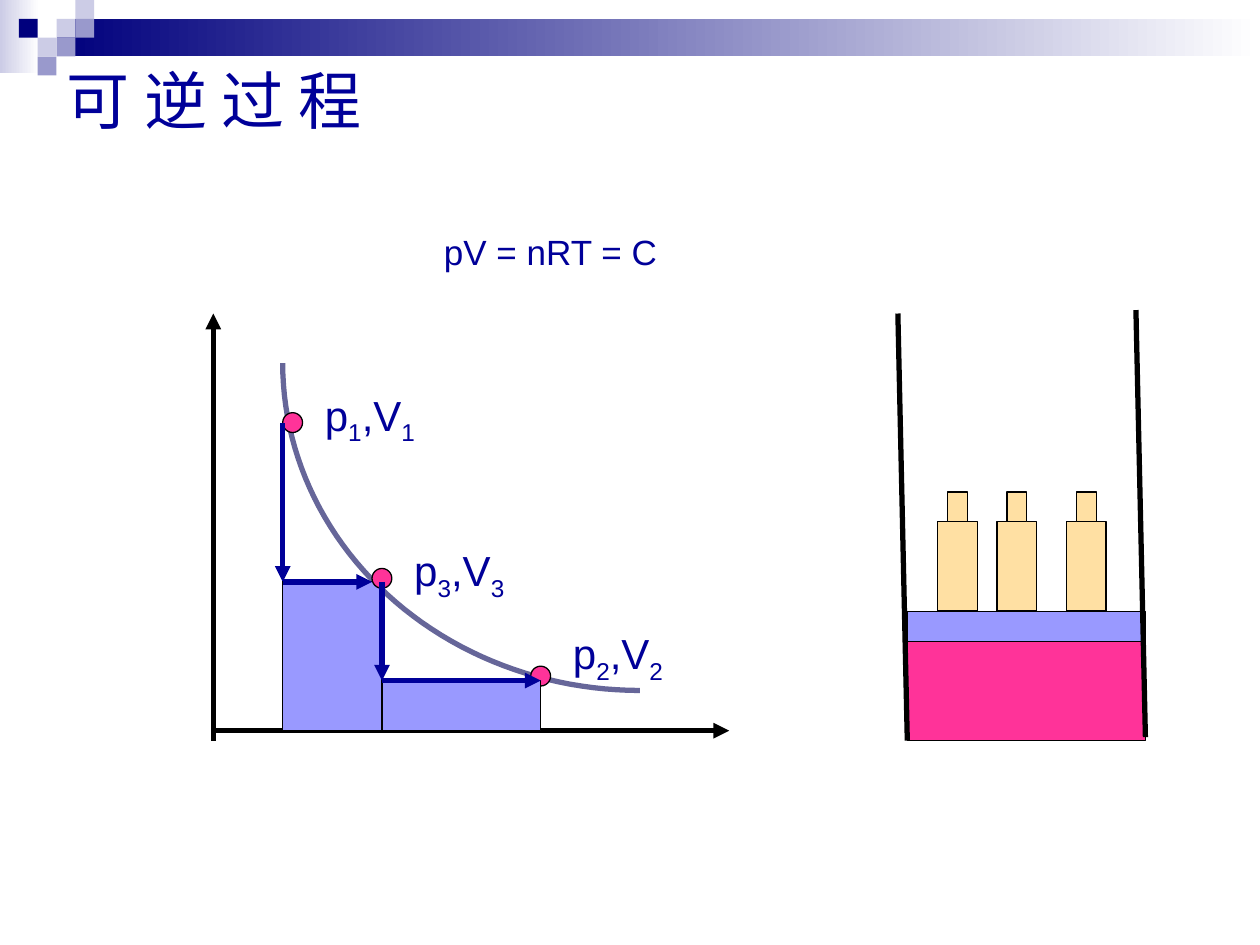
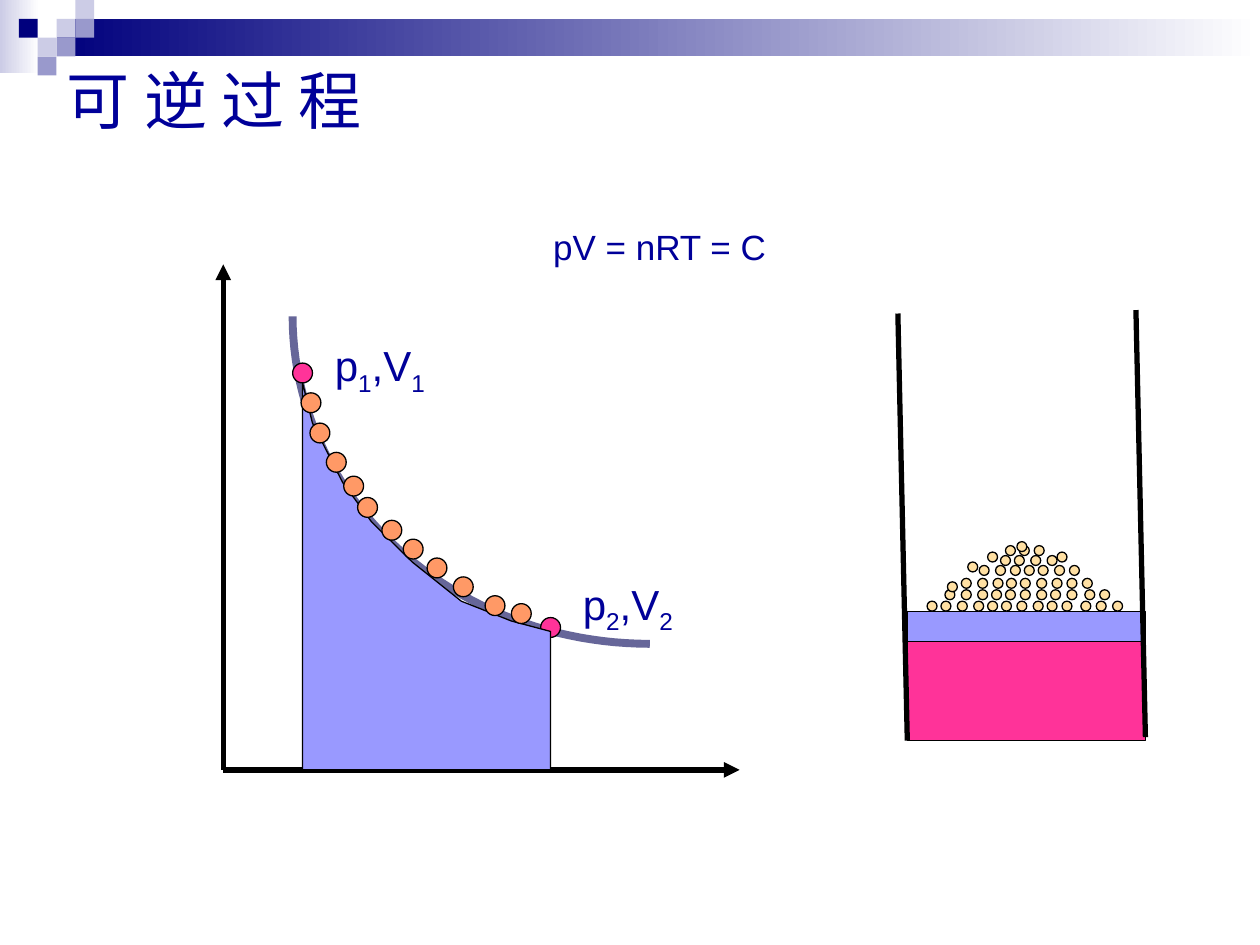
import math

import pptx
import pptx.dml.color
import pptx.enum.dml
import pptx.enum.shapes
import pptx.oxml
import pptx.oxml.ns
import pptx.util

Cm = pptx.util.Cm
Pt = pptx.util.Pt
RECT = pptx.enum.shapes.MSO_SHAPE.RECTANGLE
OVAL = pptx.enum.shapes.MSO_SHAPE.OVAL
STRAIGHT = pptx.enum.shapes.MSO_CONNECTOR.STRAIGHT
DASH = pptx.enum.dml.MSO_LINE.DASH

COLORS = {
    "white": "FFFFFF", "black": "000000", "navy": "00007D", "ink": "000099",
    "pale": "CCCCE6", "mid": "9999CC", "curve": "666699", "area": "9999FF",
    "pink": "FF3399", "sand": "FFE0A3", "orange": "FF9966",
}


def rgb(name):
    return pptx.dml.color.RGBColor.from_string(COLORS[name])


class Deck:
    """Holds the style and the current slide; all lengths are in centimetres."""
    font = "Arial"
    cell = 0.38    # banner square
    dot = 0.4      # state point
    grain = 0.2    # grain of sand

    def __init__(self):
        self.prs = pptx.Presentation()
        self.prs.slide_width, self.prs.slide_height = Cm(25.4), Cm(19.05)

    def start(self):
        self.slide = self.prs.slides.add_slide(self.prs.slide_layouts[6])
        self.banner()

    def paint(self, shape, fill=None, line=None, width=0.75):
        shape.shadow.inherit = False
        if fill:
            shape.fill.solid()
            shape.fill.fore_color.rgb = rgb(fill)
        else:
            shape.fill.background()
        if line:
            shape.line.color.rgb = rgb(line)
            shape.line.width = Pt(width)
        else:
            shape.line.fill.background()

    def shape(self, kind, x, y, w, h, fill, line="black"):
        item = self.slide.shapes.add_shape(kind, Cm(x), Cm(y), Cm(w), Cm(h))
        self.paint(item, fill, line)
        return item

    def fade(self, x, y, w, h, color):
        bar = self.shape(RECT, x, y, w, h, color, None)
        bar.fill.gradient()
        bar.fill.gradient_angle = 0
        for stop, name in zip(bar.fill.gradient_stops, (color, "white")):
            stop.color.rgb = rgb(name)

    def path_of(self, points, closed, **style):
        spots = [(Cm(x), Cm(y)) for x, y in points]
        pen = self.slide.shapes.build_freeform(*spots[0])
        pen.add_line_segments(spots[1:], close=closed)
        self.paint(pen.convert_to_shape(), **style)

    def line(self, x1, y1, x2, y2, color="black", width=3, arrow=False, dash=None):
        item = self.slide.shapes.add_connector(
            STRAIGHT, Cm(x1), Cm(y1), Cm(x2), Cm(y2))
        item.line.color.rgb = rgb(color)
        item.line.width = Pt(width)
        if dash:
            item.line.dash_style = dash
        if arrow:
            tip = pptx.oxml.parse_xml(
                f'<a:tailEnd {pptx.oxml.ns.nsdecls("a")} type="triangle"/>')
            item.line._get_or_add_ln().append(tip)
        item._element.spPr.append(pptx.oxml.parse_xml(
            f'<a:effectLst {pptx.oxml.ns.nsdecls("a")}/>'))

    def text(self, x, y, w, h, size, runs):
        """Each run is a pair: the words, and whether they are a subscript."""
        frame = self.slide.shapes.add_textbox(Cm(x), Cm(y), Cm(w), Cm(h)).text_frame
        frame.word_wrap = True
        for words, sub in runs:
            run = frame.paragraphs[0].add_run()
            run.text = words
            run.font.name = self.font
            run.font.size = Pt(size)
            run.font.color.rgb = rgb("ink")
            if sub:
                run._r.get_or_add_rPr().set("baseline", "-25000")

    # Parts the slides share
    def banner(self):
        self.fade(0, 0, 0.79, 1.47, "pale")
        self.fade(1.14, 0.38, 24.26, 0.76, "navy")
        squares = [(3, 1, "pale"), (4, 0, "pale"), (4, 1, "mid"), (2, 2, "pale"),
                   (1, 1, "navy"), (3, 2, "mid"), (2, 3, "mid")]
        for col, row, color in squares:
            self.shape(RECT, col * self.cell, row * self.cell,
                       self.cell, self.cell, color, None)

    def title(self, words):
        self.text(1.1, 1.12, 14.6, 1.78, 36, [(words, False)])

    def law(self, x, y):
        self.text(x, y, 9.6, 1.1, 20, [("pV = nRT = C", False)])

    def axes(self, x, top, foot, base, right):
        self.line(x, foot, x, top, arrow=True)
        self.line(x, base, right, base, arrow=True)

    def curve(self, x, y, width, w=7.2, h=6.6, steps=48):
        turns = [math.pi / 2 * i / steps for i in range(steps + 1)]
        arc = [(x + w * (1 - math.cos(t)), y + h * math.sin(t)) for t in turns]
        self.path_of(arc, False, line="curve", width=width)

    def circle(self, x, y, size, color):
        self.shape(OVAL, x, y, size, size, color)

    def state(self, x, y, index, rise=0.6):
        self.circle(x, y, self.dot, "pink")
        self.text(x + 0.6, y - rise, 3, 1.27, 24,
                  [("p", False), (index, True), (",V", False), (index, True)])

    def vessel(self):
        self.shape(RECT, 18.29, 12.93, 4.8, 2, "pink")
        self.shape(RECT, 18.29, 12.33, 4.8, 0.6, "area")
        self.line(18.29, 14.93, 18.1, 6.32)
        self.line(23.09, 14.86, 22.9, 6.25)


def steps(deck):
    """Expansion in two steps, with three weights on the piston."""
    deck.start()
    deck.law(8.7, 4.52)
    base = 14.73
    deck.axes(4.3, 6.32, 14.93, base, 14.7)
    deck.curve(5.7, 7.32, 3)
    deck.state(5.7, 8.32, "1")
    deck.state(10.7, 13.43, "2", 0.9)
    deck.vessel()

    # Weights
    for x in (18.9, 20.1, 21.5):
        deck.shape(RECT, x, 10.52, 0.8, 1.8, "sand")
        deck.shape(RECT, x + 0.2, 9.92, 0.4, 0.6, "sand")

    # Work done in each step
    x1, x3, x2 = 5.7, 7.7, 10.9
    y1, y3, y2 = 8.53, 11.73, 13.72
    deck.line(x1, y1, x1, y3, "ink", arrow=True)
    deck.line(x2, y2, x2, base, width=0.75, dash=DASH)
    deck.shape(RECT, x1, y3, x3 - x1, base - y3, "area")
    deck.state(7.5, 11.46, "3")
    deck.shape(RECT, x3, y2, x2 - x3, base - y2, "area")
    for ends in ((x1, y3, 7.5, y3), (x3, y3, x3, y2), (x3, y2, x2, y2)):
        deck.line(*ends, "ink", arrow=True)
    deck.title("可 逆 过 程")


def grains(deck):
    """Reversible expansion, with a heap of sand on the piston."""
    deck.start()
    deck.law(10.9, 4.42)
    base = 15.52
    deck.axes(4.5, 5.33, base, base, 14.91)
    deck.curve(5.9, 6.38, 4.5)
    deck.state(5.9, 7.32, "1")
    deck.state(10.9, 12.45, "2", 0.92)
    deck.vessel()

    # Sand, row by row from the piston up
    heap = {
        12.12: (18.69, 18.97, 19.3, 19.63, 19.91, 20.19, 20.5, 20.83, 21.11,
                21.41, 21.79, 22.1, 22.43),
        11.89: (19.05, 19.38, 19.71, 19.99, 20.27, 20.57, 20.9, 21.18, 21.51,
                21.87, 22.17),
        11.66: (19.38, 19.71, 20.02, 20.29, 20.57, 20.9, 21.21, 21.51, 21.82),
        11.4: (19.74, 20.07, 20.37, 20.65, 20.93, 21.26, 21.56),
        11.2: (20.17, 20.45, 20.78, 21.11),
        11.0: (20.27, 20.55, 20.85),
        10.92: (20.5,),
        11.13: (19.91, 21.31),
        11.73: (19.1,),
        11.33: (19.51,),
    }
    for y, row in heap.items():
        for x in row:
            deck.circle(x, y, deck.grain, "sand")

    # Work as the area under the curve
    area = [(6.1, 7.72), (6.1, base), (11.1, base), (11.1, 12.73), (10.31, 12.52),
            (9.3, 12.12), (8.31, 11.33), (7.49, 10.52), (6.91, 9.73), (6.3, 8.53)]
    deck.path_of(area, True, fill="area", line="black")

    # States passed on the way
    for x, y in ((6.07, 7.92), (6.25, 8.53), (6.58, 9.12), (6.93, 9.6),
                 (7.21, 10.03), (7.7, 10.49), (8.13, 10.87), (8.61, 11.25),
                 (9.14, 11.63), (9.78, 12.01), (10.31, 12.17)):
        deck.circle(x, y, deck.dot, "orange")
    deck.title("可 逆 过 程")


def main():
    deck = Deck()
    steps(deck)
    grains(deck)
    deck.prs.save("out.pptx")


if __name__ == "__main__":
    main()
